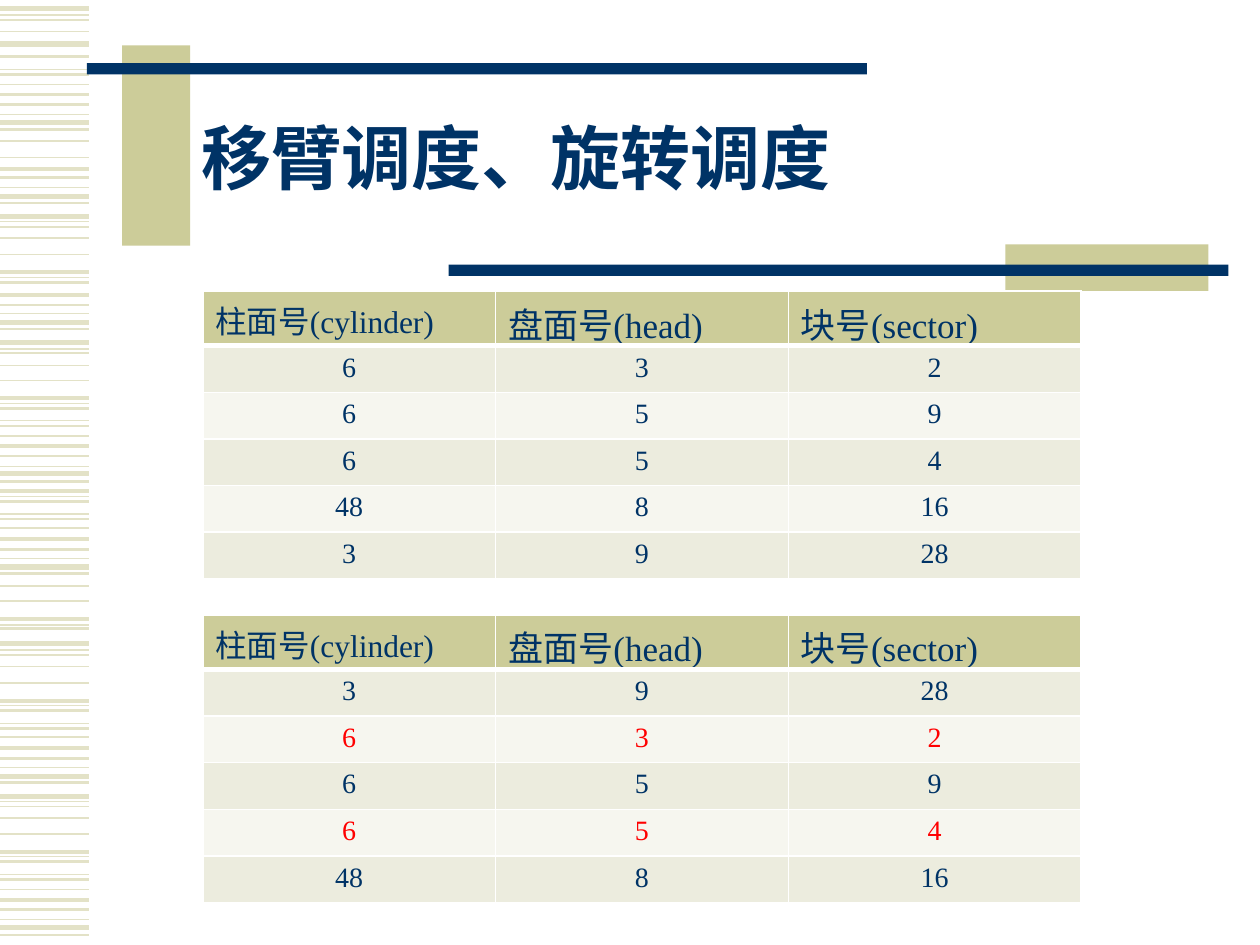
import lxml.etree
import pptx
import pptx.dml.color
import pptx.enum.shapes
import pptx.enum.text
import pptx.oxml.ns
import pptx.util

Inches = pptx.util.Inches
Pt = pptx.util.Pt
qn = pptx.oxml.ns.qn

COLORS = {
    "navy": "003366",
    "khaki": "CCCC99",
    "stripe": "E3E2C7",
    "band_dark": "ECECDE",
    "band_light": "F6F6EF",
    "red": "FF0000",
    "white": "FFFFFF",
}

# Heights of the side stripes, grouped by line width in points
STRIPES = {
    3: [0.07, 0.35, 0.97, 1.56, 1.72, 2.56, 2.72, 3.76, 4.5, 5.11, 6.16, 6.32, 7.36],
    2.25: [0.75, 1.34, 2.16, 2.34, 3.16, 3.54, 3.9, 4.28, 4.91, 5.56, 5.94, 6.76, 7.14],
    1.5: [0.45, 0.59, 0.83, 1.03, 1.41, 1.61, 2.24, 2.42, 2.61, 3.24, 3.38, 3.62, 3.82,
          3.98, 4.12, 4.36, 4.55, 4.99, 5.64, 5.78, 6.02, 6.21, 6.84, 6.98, 7.22, 7.42],
    1: [0.16, 0.25, 0.67, 1.12, 1.25, 1.8, 1.89, 2.02, 2.8, 2.9, 3.02, 3.46, 4.19,
        4.65, 4.77, 5.2, 5.29, 5.42, 5.85, 6.4, 6.49, 6.62, 7.06],
    0.75: [0.12, 0.55, 0.91, 1.49, 1.76, 2.2, 2.49, 2.77, 3.2, 3.34, 3.7, 3.94, 4.08,
           4.43, 4.96, 5.16, 5.6, 5.74, 6.09, 6.36, 6.8, 6.94, 7.3],
}

# Bars: left, top, width, height, colour
BARS = [
    (0.97, 0.36, 0.54, 1.59, "khaki"),
    (0.69, 0.5, 6.19, 0.09, "navy"),
    (7.98, 1.94, 1.61, 0.37, "khaki"),
    (3.56, 2.1, 6.19, 0.09, "navy"),
]

HEADINGS = [("柱面号(cylinder)", 18), ("盘面号(head)", 20), ("块号(sector)", 20)]
REQUESTS = [(6, 3, 2), (6, 5, 9), (6, 5, 4), (48, 8, 16), (3, 9, 28)]
SCHEDULE = [(3, 9, 28), (6, 3, 2), (6, 5, 9), (6, 5, 4), (48, 8, 16)]


class SlideBuilder:
    title_font = "Arial"
    table_font = "Times New Roman"

    def __init__(self, slide):
        self.slide = slide

    def color(self, name):
        return pptx.dml.color.RGBColor.from_string(COLORS[name])

    def stripe(self, y, width):
        line = self.slide.shapes.add_connector(
            pptx.enum.shapes.MSO_CONNECTOR.STRAIGHT,
            Inches(0), Inches(y), Inches(0.71), Inches(y))
        line.line.color.rgb = self.color("stripe")
        line.line.width = Pt(width)
        properties = line._element.find(qn("p:spPr"))
        lxml.etree.SubElement(properties, qn("a:effectLst"))

    def bar(self, left, top, width, height, color):
        box = self.slide.shapes.add_shape(
            pptx.enum.shapes.MSO_SHAPE.RECTANGLE,
            Inches(left), Inches(top), Inches(width), Inches(height))
        box.shadow.inherit = False
        box.fill.solid()
        box.fill.fore_color.rgb = self.color(color)
        box.line.fill.background()

    def style(self, para, font, size, color, bold=False):
        para.font.name = font
        para.font.size = Pt(size)
        para.font.bold = bold
        para.font.color.rgb = self.color(color)

    def title(self, text, left, top, width, height):
        box = self.slide.shapes.add_textbox(
            Inches(left), Inches(top), Inches(width), Inches(height))
        frame = box.text_frame
        frame.word_wrap = True
        frame.vertical_anchor = pptx.enum.text.MSO_ANCHOR.MIDDLE
        para = frame.paragraphs[0]
        para.text = text
        para.line_spacing = 0.85
        self.style(para, self.title_font, 40, "navy", bold=True)

    def borders(self, cell, top, bottom):
        properties = cell._tc.get_or_add_tcPr()
        for side, width in (("L", 1), ("R", 1), ("T", top), ("B", bottom)):
            line = lxml.etree.SubElement(properties, qn(f"a:ln{side}"), w=str(Pt(width)))
            fill = lxml.etree.SubElement(line, qn("a:solidFill"))
            lxml.etree.SubElement(fill, qn("a:srgbClr"), val=COLORS["white"])

    def cell(self, cell, text, size, color, fill, top=1, bottom=1, centred=True):
        self.borders(cell, top, bottom)
        cell.fill.solid()
        cell.fill.fore_color.rgb = self.color(fill)
        para = cell.text_frame.paragraphs[0]
        para.text = text
        if centred:
            para.alignment = pptx.enum.text.PP_ALIGN.CENTER
        self.style(para, self.table_font, size, color)

    def table(self, top, rows, red_rows=()):
        table = self.slide.shapes.add_table(
            len(rows) + 1, len(HEADINGS),
            Inches(1.61), Inches(top), Inches(6.97), Inches(2.27)).table
        for row in table.rows:
            row.height = Inches(0.37)
        table.rows[0].height = Inches(0.43)
        for column, (text, size) in enumerate(HEADINGS):
            self.cell(table.cell(0, column), text, size, "navy", "khaki",
                      bottom=3, centred=False)
        for number, values in enumerate(rows, start=1):
            color = "red" if number in red_rows else "navy"
            fill = "band_dark" if number % 2 else "band_light"
            for column, value in enumerate(values):
                self.cell(table.cell(number, column), str(value), 16, color, fill,
                          top=3 if number == 1 else 1)


def main():
    deck = pptx.Presentation()
    deck.slide_width = Inches(10)
    deck.slide_height = Inches(7.5)
    page = SlideBuilder(deck.slides.add_slide(deck.slide_layouts[6]))

    # Striped left edge
    for width, heights in STRIPES.items():
        for y in heights:
            page.stripe(y, width)

    # Bars around the title
    for bar in BARS:
        page.bar(*bar)
    page.title("移臂调度、旋转调度", 1.5, 0.67, 8.07, 1.25)

    # Requests as they arrive, then in scheduled order
    page.table(2.31, REQUESTS)
    page.table(4.88, SCHEDULE, red_rows=(2, 4))

    deck.save("out.pptx")


if __name__ == "__main__":
    main()
